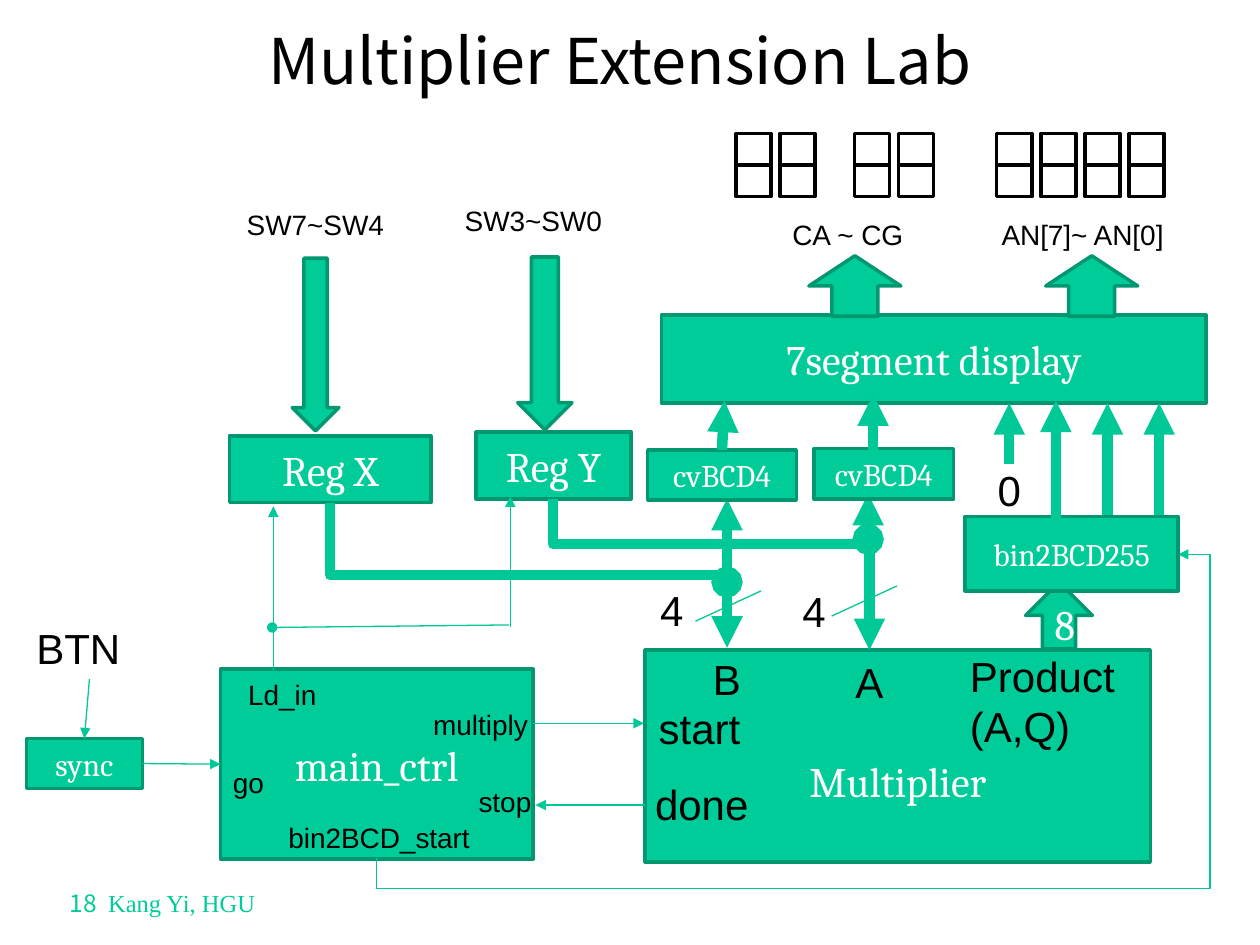
from typing import NamedTuple, Optional

import lxml.etree
import pptx
import pptx.dml.color
import pptx.enum.shapes
import pptx.enum.text
import pptx.oxml.ns
import pptx.util

Inches = pptx.util.Inches
Pt = pptx.util.Pt
RGBColor = pptx.dml.color.RGBColor
qn = pptx.oxml.ns.qn
SHAPE = pptx.enum.shapes.MSO_SHAPE
CONNECTOR = pptx.enum.shapes.MSO_CONNECTOR
ALIGN = pptx.enum.text.PP_ALIGN
ANCHOR = pptx.enum.text.MSO_ANCHOR

GREEN = RGBColor(0x00, 0xCC, 0x99)
EDGE = RGBColor(0x00, 0x97, 0x71)
WIRE = RGBColor(0x00, 0xC8, 0x96)
BLACK = RGBColor(0x00, 0x00, 0x00)
WHITE = RGBColor(0xFF, 0xFF, 0xFF)
THIN, BUS = 0.75, 6


class Block(NamedTuple):
    text: str
    left: float
    top: float
    width: float
    height: float
    size: float = 24
    kind: SHAPE = SHAPE.RECTANGLE
    top_inset: float = 0.05


class Label(NamedTuple):
    text: str
    left: float
    top: float
    width: float
    height: float = 0.37
    size: float = 16
    wrap: bool = True


class Wire(NamedTuple):
    start: tuple[float, float]
    end: tuple[float, float]
    weight: float = THIN
    head: Optional[str] = None
    tail: Optional[str] = "triangle"


class Elbow(NamedTuple):
    wire: Wire
    preset: str
    rotation: int
    flips: tuple[str, ...]
    bends: tuple[float, ...]


def write(paragraph, text: str, *, size: float, font: str = "Arial",
          color: RGBColor = BLACK, align: ALIGN = ALIGN.LEFT) -> None:
    paragraph.alignment = align
    run = paragraph.add_run()
    run.text = text
    run.font.size = Pt(size)
    run.font.name = font
    run.font.color.rgb = color


def add_box(shapes, block: Block, fill: RGBColor = GREEN, edge: RGBColor = EDGE):
    box = shapes.add_shape(block.kind, Inches(block.left), Inches(block.top),
                           Inches(block.width), Inches(block.height))
    box.shadow.inherit = False
    box.fill.solid()
    box.fill.fore_color.rgb = fill
    box.line.color.rgb = edge
    box.line.width = Pt(2)
    if block.text:
        frame = box.text_frame
        frame.vertical_anchor = ANCHOR.MIDDLE
        frame.margin_top = Inches(block.top_inset)
        write(frame.paragraphs[0], block.text, size=block.size, font="Cambria",
              color=WHITE, align=ALIGN.CENTER)
    return box


def add_label(shapes, label: Label, **style):
    box = shapes.add_textbox(Inches(label.left), Inches(label.top),
                             Inches(label.width), Inches(label.height))
    frame = box.text_frame
    frame.word_wrap = label.wrap
    for index, line in enumerate(label.text.split("\n")):
        paragraph = frame.add_paragraph() if index else frame.paragraphs[0]
        write(paragraph, line, size=label.size, **style)
    return box


def add_wire(shapes, wire: Wire, color: RGBColor = WIRE, kind: CONNECTOR = CONNECTOR.STRAIGHT):
    line = shapes.add_connector(kind, *map(Inches, wire.start + wire.end))
    line.line.color.rgb = color
    line.line.width = Pt(wire.weight)
    outline = line.line._get_or_add_ln()
    for tag, shape_type in (("a:headEnd", wire.head), ("a:tailEnd", wire.tail)):
        if shape_type:
            lxml.etree.SubElement(outline, qn(tag), type=shape_type)
    lxml.etree.SubElement(line._element.spPr, qn("a:effectLst"))
    return line


def add_elbow(shapes, elbow: Elbow) -> None:
    """Draw a quarter-turned elbow; its unturned box swaps width and height."""
    line = add_wire(shapes, elbow.wire, kind=CONNECTOR.ELBOW)
    (x1, y1), (x2, y2) = elbow.wire.start, elbow.wire.end
    width, height = abs(y2 - y1), abs(x2 - x1)
    line.left, line.top = Inches((x1 + x2 - width) / 2), Inches((y1 + y2 - height) / 2)
    line.width, line.height = Inches(width), Inches(height)
    frame = line._element.spPr.find(qn("a:xfrm"))
    for flip in ("flipH", "flipV"):
        frame.set(flip, "1" if flip in elbow.flips else "0")
    frame.set("rot", str(elbow.rotation * 60000))
    geometry = line._element.spPr.find(qn("a:prstGeom"))
    geometry.set("prst", elbow.preset)
    guides = geometry.find(qn("a:avLst"))
    for number, bend in enumerate(elbow.bends, 1):
        lxml.etree.SubElement(guides, qn("a:gd"), name=f"adj{number}",
                              fmla=f"val {round(bend * 100000)}")


def add_digit(shapes, left: float, top: float = 1.06) -> None:
    digit = shapes.add_group_shape().shapes
    add_box(digit, Block("", left, top, 0.28, 0.5), WHITE, BLACK)
    middle = top + 0.25
    add_wire(digit, Wire((left, middle), (left + 0.28, middle), 2.25, tail=None), BLACK)


BACK_BLOCKS = [
    Block("Multiplier", 5.12, 5.16, 4.01, 1.68, top_inset=0.44),
    Block("8", 8.14, 4.62, 0.53, 0.53, kind=SHAPE.UP_ARROW),
    Block("7segment display", 5.25, 2.5, 4.32, 0.7),
    Block("Reg Y", 3.78, 3.43, 1.23, 0.53),
    Block("Reg X", 1.82, 3.46, 1.6, 0.53),
    Block("", 2.32, 2.05, 0.37, 1.37, kind=SHAPE.DOWN_ARROW),
    Block("", 4.11, 2.04, 0.43, 1.37, kind=SHAPE.DOWN_ARROW),
    Block("", 8.3, 2.03, 0.73, 0.48, kind=SHAPE.UP_ARROW),
    Block("", 6.42, 2.03, 0.73, 0.48, kind=SHAPE.UP_ARROW),
    Block("cvBCD4", 6.46, 3.56, 1.11, 0.4, 18),
]
ELBOWS = [
    Elbow(Wire((4.39, 3.96), (6.9, 5.16), BUS), "bentConnector3", 270, ("flipH",), (0.3,)),
    Elbow(Wire((2.62, 3.99), (5.77, 5.14), BUS), "bentConnector3", 270, ("flipH",), (0.5,)),
    Elbow(Wire((2.99, 6.81), (9.35, 4.4)), "bentConnector4", 90, ("flipH", "flipV"),
          (-0.1, 1.04)),
]
WIRES = [
    Wire((4.23, 5.74), (5.11, 5.74)),
    Wire((5.12, 6.39), (4.25, 6.39)),
    Wire((5.77, 4.62), (5.77, 3.96), BUS, "oval"),
    Wire((6.89, 4.28), (6.89, 3.92), BUS, "oval"),
    Wire((2.17, 5.57), (2.17, 4.02)),
    Wire((4.05, 4.98), (4.05, 3.94)),
    Wire((2.16, 4.98), (4.04, 4.96), head="oval", tail=None),
    Wire((5.52, 4.93), (6.04, 4.69), tail=None),
    Wire((6.6, 4.89), (7.12, 4.65), tail=None),
    Wire((8.79, 4.28), (8.79, 3.2), BUS),
    Wire((9.2, 4.28), (9.2, 3.2), BUS),
]
DISPLAY_WIRES = [
    Wire((6.93, 3.57), (6.93, 3.13), BUS),
    Wire((8.38, 4.13), (8.38, 3.18), BUS),
    Wire((8.01, 3.68), (8.01, 3.2), BUS),
]
LABELS = [
    Label("start", 5.13, 5.53, 0.86, 0.5, 24, False),
    Label("done", 5.1, 6.13, 0.95, 0.5, 24, False),
    Label("Product\n(A,Q)", 7.6, 5.11, 1.36, 0.91, 24, False),
    Label("B", 5.56, 5.14, 0.43, 0.5, 24, False),
    Label("A", 6.69, 5.16, 0.43, 0.5, 24, False),
    Label("4", 5.14, 4.59, 0.39, 0.5, 24, False),
    Label("4", 6.27, 4.6, 0.39, 0.5, 24, False),
    Label("0", 7.82, 3.64, 0.36, 0.5, 24),
    Label("CA ~ CG", 6.19, 1.68, 1.18),
    Label("AN[7]~ AN[0]", 7.85, 1.68, 1.72),
    Label("SW7~SW4", 1.86, 1.6, 1.33),
    Label("SW3~SW0", 3.59, 1.57, 1.33),
    Label("bin2BCD_start", 2.19, 6.46, 1.7),
    Label("Ld_in", 1.87, 5.33, 0.98),
    Label("go", 1.75, 6.03, 0.59),
    Label("multiply", 3.34, 5.57, 1.06),
    Label("stop", 3.7, 6.18, 1.06),
]


def main() -> None:
    deck = pptx.Presentation()
    deck.slide_width, deck.slide_height = Inches(10), Inches(7.5)
    shapes = deck.slides.add_slide(deck.slide_layouts[6]).shapes

    # Title and footer
    title = add_label(shapes, Label("Multiplier Extension Lab", 0.67, 0.06, 8.5, 0.83, 36),
                      font="Noto Sans CJK KR", align=ALIGN.CENTER)
    title.text_frame.vertical_anchor = ANCHOR.MIDDLE
    footer = add_label(shapes, Label("18  ", 0.25, 7, 2.08, 0.33, 14),
                       font="Noto Sans CJK KR", color=GREEN)
    write(footer.text_frame.paragraphs[0], "Kang Yi, HGU", size=14,
          font="Times New Roman", color=GREEN, align=ALIGN.CENTER)

    # Blocks and buses; the converters cover the bus ends
    main_ctrl = add_box(shapes, Block("main_ctrl", 1.75, 5.31, 2.48, 1.51))
    for block in BACK_BLOCKS[:-1]:
        add_box(shapes, block)
    for elbow in ELBOWS:
        add_elbow(shapes, elbow)
    for wire in WIRES:
        add_wire(shapes, wire)
    add_box(shapes, BACK_BLOCKS[-1])
    add_box(shapes, Block("bin2BCD255", 7.66, 4.1, 1.69, 0.59, 18))
    converter_b = add_box(shapes, Block("cvBCD4", 5.14, 3.57, 1.18, 0.4, 18))
    for wire in DISPLAY_WIRES:
        add_wire(shapes, wire)
    add_wire(shapes, Wire((5.73, 3.57), (5.75, 3.18), BUS)).begin_connect(converter_b, 0)

    # Button input
    button = add_label(shapes, Label("BTN", 0.19, 4.89, 1.04, 0.5, 24))
    sync = add_box(shapes, Block("sync", 0.21, 5.86, 0.92, 0.4, 18))
    press = add_wire(shapes, Wire((0.71, 5.39), (0.67, 5.86)))
    press.begin_connect(button, 2)
    press.end_connect(sync, 0)
    go = add_wire(shapes, Wire((1.13, 6.06), (1.75, 6.06)))
    go.begin_connect(sync, 3)
    go.end_connect(main_ctrl, 1)

    # Seven-segment digits and signal names
    for first, count in ((5.84, 2), (6.78, 2), (7.91, 4)):
        for place in range(count):
            add_digit(shapes, first + place * 0.35)
    for label in LABELS:
        add_label(shapes, label)

    deck.save("out.pptx")


if __name__ == "__main__":
    main()
